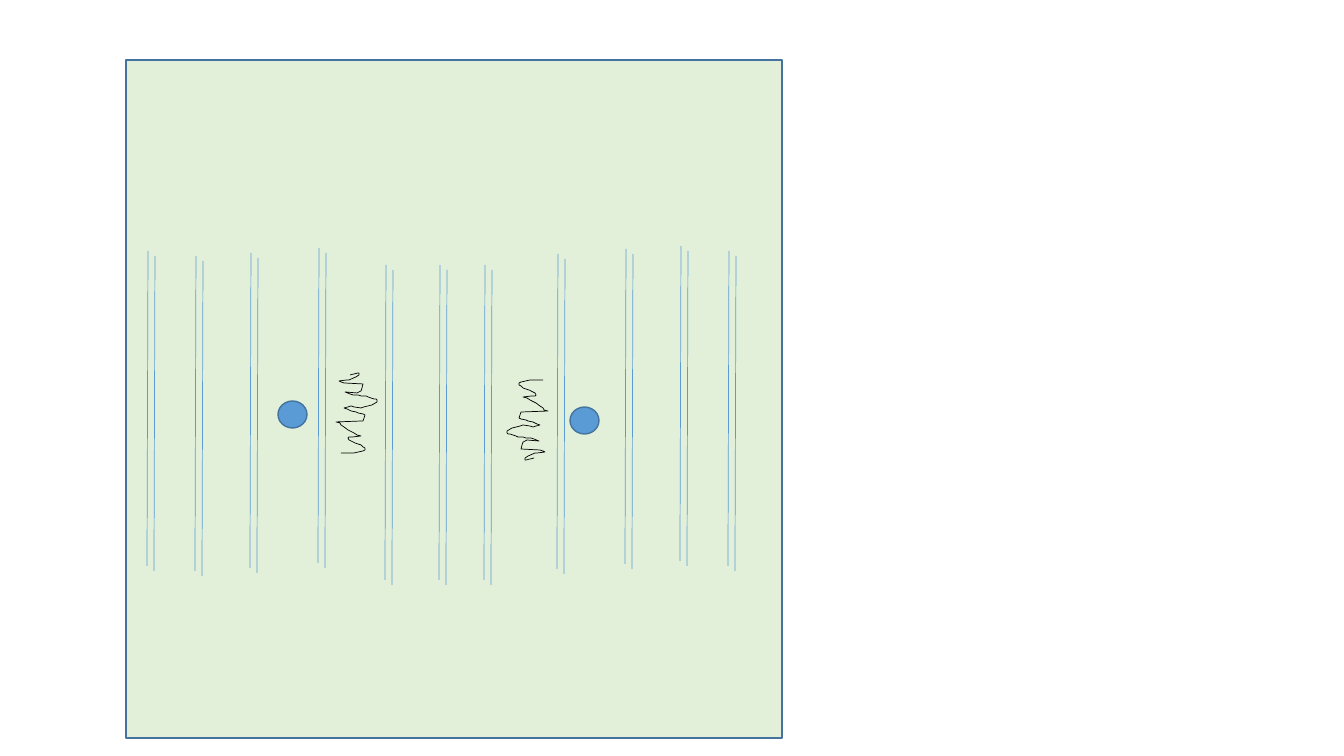
from lxml import etree
from pptx import Presentation
from pptx.dml.color import RGBColor
from pptx.enum.shapes import MSO_CONNECTOR, MSO_SHAPE
from pptx.oxml.ns import qn
from pptx.util import Emu, Pt

RECT, OVAL = MSO_SHAPE.RECTANGLE, MSO_SHAPE.OVAL
STRAIGHT = MSO_CONNECTOR.STRAIGHT
SCALE = 914400 / 100.8  # EMU per pixel

# Content, in pixels
FIELD = (126, 60, 656, 678)
FIELD_FILL, BLUE, EDGE, BLACK = "E2F0D9", "5B9BD5", "43739E", "000000"
# Top of the left line of each pair
PAIR_TOPS = [(148, 251), (196, 256), (251, 253), (319, 248), (386, 265), (440, 265),
             (485, 265), (558, 254), (626, 249), (681, 246), (729, 251)]
PAIR_STEP = (7, 5)
LINE_LEAN, LINE_HEIGHT = -1, 315
BALL_SIZE = (29, 27)
# Ball position, squiggle position, rotation
SWIMMERS = [((278, 401), (336, 373), 0), ((570, 407), (507, 380), 180)]
SQUIGGLE = [
    (14, 2), (18, 1), (22, 0), (23, 0), (23, 2), (20, 4), (13, 7), (11, 7), (3, 8),
    (5, 9), (8, 10), (27, 11), (26, 15), (25, 18), (23, 19), (21, 20), (9, 19),
    (14, 21), (17, 22), (22, 22), (25, 23), (30, 23), (32, 24), (35, 25), (38, 26),
    (40, 26), (41, 27), (41, 29), (36, 32), (28, 34), (25, 35), (18, 34), (15, 33),
    (12, 34), (8, 35), (11, 36), (13, 37), (15, 38), (20, 39), (22, 40), (27, 41),
    (29, 42), (28, 45), (27, 48), (0, 49), (4, 50), (5, 52), (8, 54), (12, 57),
    (14, 58), (18, 60), (21, 62), (25, 63), (17, 64), (13, 64), (12, 65), (13, 67),
    (15, 68), (19, 70), (22, 71), (25, 72), (27, 74), (29, 75), (29, 77), (27, 78),
    (18, 80), (5, 80)]


def px(*lengths):
    return [Emu(round(length * SCALE)) for length in lengths]


def paint_line(item, color, points):
    item.line.color.rgb = RGBColor.from_string(color)
    item.line.width = Pt(points)


def add_figure(kind, box, fill):
    figure = slide.shapes.add_shape(kind, *px(*box))
    figure.shadow.inherit = False
    figure.fill.solid()
    figure.fill.fore_color.rgb = RGBColor.from_string(fill)
    paint_line(figure, EDGE, 1)
    return figure


def add_stroke(x, y):
    stroke = slide.shapes.add_connector(
        STRAIGHT, *px(x, y, x + LINE_LEAN, y + LINE_HEIGHT))
    paint_line(stroke, BLUE, 0.5)
    etree.SubElement(stroke._element.spPr, qn("a:effectLst"))


def add_squiggle(origin, rotation):
    builder = slide.shapes.build_freeform(*SQUIGGLE[0], scale=SCALE)
    builder.add_line_segments(SQUIGGLE[1:], close=False)
    squiggle = builder.convert_to_shape(*px(*origin))
    squiggle.shadow.inherit = False
    squiggle.fill.background()
    paint_line(squiggle, BLACK, 0.5)
    squiggle.rotation = rotation


prs = Presentation()
prs.slide_width, prs.slide_height = px(1344, 756)
slide = prs.slides.add_slide(prs.slide_layouts[6])

# Field
add_figure(RECT, FIELD, FIELD_FILL)

# Balls with their squiggles
for ball, squiggle_origin, turn in SWIMMERS:
    add_squiggle(squiggle_origin, turn)
    add_figure(OVAL, ball + BALL_SIZE, BLUE).rotation = turn

# Line pairs
for left, top in PAIR_TOPS:
    add_stroke(left, top)
    add_stroke(left + PAIR_STEP[0], top + PAIR_STEP[1])

prs.save("out.pptx")
